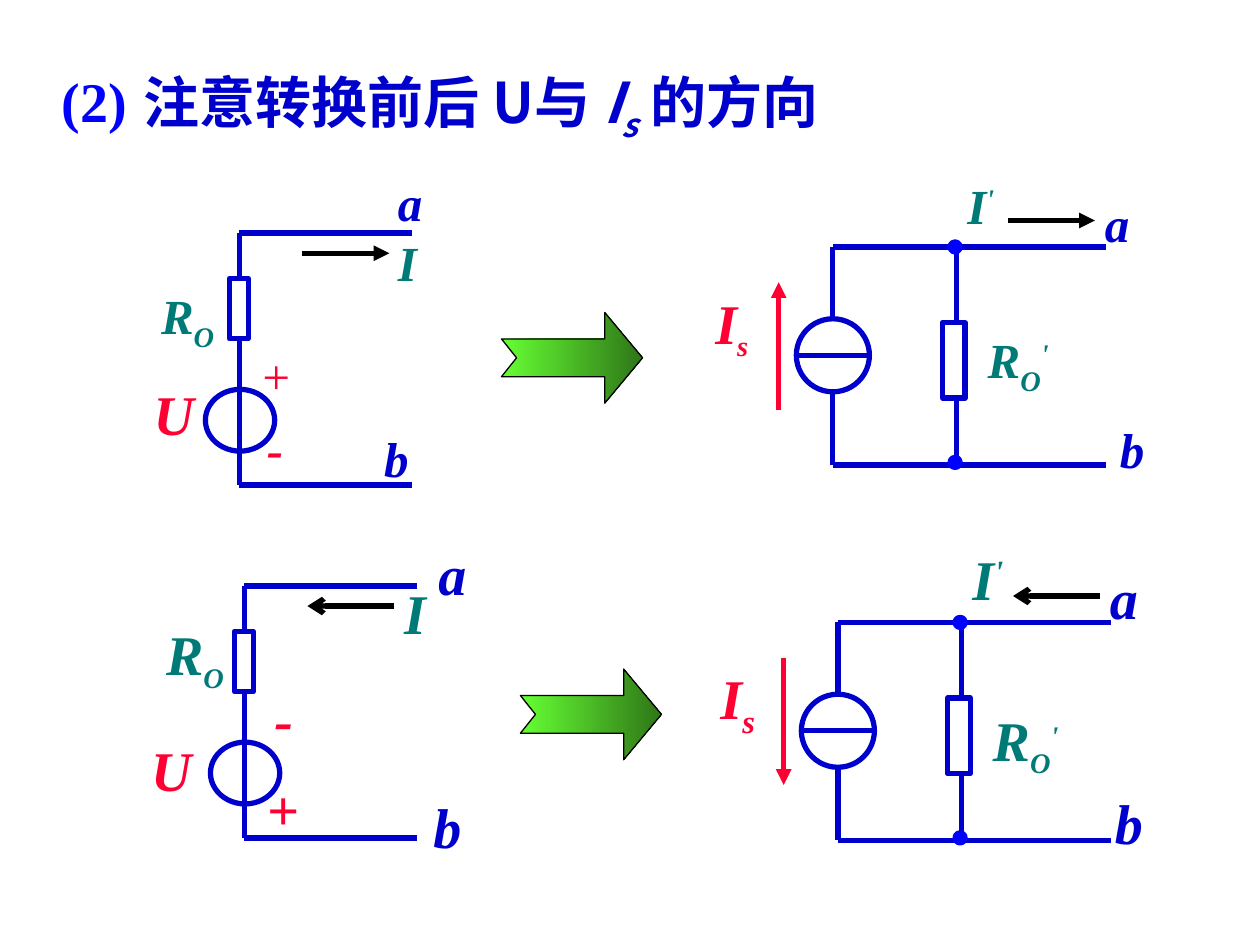
from dataclasses import dataclass

from lxml.etree import SubElement
from pptx import Presentation
from pptx.dml.color import RGBColor
from pptx.enum.shapes import MSO_CONNECTOR, MSO_SHAPE as SHAPE
from pptx.enum.text import MSO_AUTO_SIZE as AUTO_SIZE
from pptx.oxml.ns import qn
from pptx.util import Inches, Pt

SERIF, SANS = "Times New Roman", "Noto Sans CJK SC"
BLUE, DOT_BLUE, RED, TEAL = "0000CC", "0000FF", "FF0033", "007A77"
BLACK, WHITE = "000000", "FFFFFF"


@dataclass
class Run:
    text: str
    size: int
    base: int = 0  # baseline shift in percent
    italic: bool = True


@dataclass
class Label:
    x: float
    y: float
    w: float
    h: float
    runs: list[Run]
    color: str
    bold: bool = True
    font: str = SERIF
    wrap: bool = False


@dataclass
class Circuit:
    x: float  # top left corner of the wiring
    y: float
    reverse: bool
    labels: list[Label]


def rgb(color: str) -> RGBColor:
    return RGBColor.from_string(color)


def add_label(s, label: Label) -> None:
    box = s.shapes.add_textbox(*map(Inches, (label.x, label.y, label.w, label.h)))
    tf = box.text_frame
    tf.word_wrap = label.wrap
    tf.auto_size = AUTO_SIZE.SHAPE_TO_FIT_TEXT
    p = tf.paragraphs[0]
    p.font.name, p.font.bold = label.font, label.bold
    p.font.color.rgb = rgb(label.color)
    for run in label.runs:
        r = p.add_run()
        r.text = run.text
        r.font.size, r.font.italic = Pt(run.size), run.italic
        if run.base:
            r.font._element.set("baseline", str(run.base * 1000))
        SubElement(r.font._element, qn("a:ea")).set("typeface", label.font)


def add_line(s, x1: float, y1: float, x2: float, y2: float,
             color: str = BLUE, arrow: str = "") -> None:
    line = s.shapes.add_connector(
        MSO_CONNECTOR.STRAIGHT, *map(Inches, (x1, y1, x2, y2)))
    line.line.color.rgb = rgb(color)
    line.line.width = Pt(3)
    if arrow:
        SubElement(line.line._get_or_add_ln(), qn("a:tailEnd")).set("type", arrow)
    SubElement(line._element.spPr, qn("a:effectLst"))


def add_part(s, kind: SHAPE, x: float, y: float, w: float, h: float,
             fill: str = WHITE, line: str = BLUE) -> None:
    part = s.shapes.add_shape(kind, *map(Inches, (x, y, w, h)))
    part.shadow.inherit = False
    part.fill.solid()
    part.fill.fore_color.rgb = rgb(fill)
    part.line.color.rgb = rgb(line)
    part.line.width = Pt(3)


def add_current_arrow(s, x: float, y: float, reverse: bool) -> None:
    ends = (x + 0.69, x) if reverse else (x, x + 0.69)
    add_line(s, ends[0], y, ends[1], y, BLACK, "arrow" if reverse else "triangle")


def add_voltage_circuit(s, c: Circuit) -> None:
    x, y, bottom = c.x, c.y, c.y + 2
    add_part(s, SHAPE.OVAL, x - 0.27, y + 1.24, 0.55, 0.49)
    add_line(s, x, y, x, bottom)
    add_part(s, SHAPE.RECTANGLE, x - 0.08, y + 0.36, 0.15, 0.48)
    for level in (y, bottom):
        add_line(s, x, level, x + 1.37, level)
    add_current_arrow(s, x + 0.5, y + 0.16, c.reverse)
    for label in c.labels:
        add_label(s, label)


def add_current_circuit(s, c: Circuit) -> None:
    x, y, bottom = c.x, c.y, c.y + 1.73
    # Source with its leads and direction arrow
    add_part(s, SHAPE.OVAL, x - 0.29, y + 0.57, 0.58, 0.58)
    add_line(s, x - 0.29, y + 0.86, x + 0.29, y + 0.86)
    add_line(s, x, y + 0.57, x, y)
    add_line(s, x, bottom, x, y + 1.15)
    ends = (y + 0.28, y + 1.29) if c.reverse else (y + 1.29, y + 0.28)
    add_line(s, x - 0.43, ends[0], x - 0.43, ends[1], RED, "triangle")
    # Parallel resistor, terminals and nodes
    add_line(s, x + 0.98, y, x + 0.98, bottom)
    add_part(s, SHAPE.RECTANGLE, x + 0.87, y + 0.6, 0.18, 0.6)
    for level in (y, bottom):
        add_line(s, x, level, x + 2.17, level)
    add_current_arrow(s, x + 1.39, y - 0.21, c.reverse)
    for node in (y - 0.04, y + 1.67):
        add_part(s, SHAPE.OVAL, x + 0.93, node, 0.08, 0.08, DOT_BLUE, DOT_BLUE)
    for label in c.labels:
        add_label(s, label)


def add_block_arrow(s, x: float, y: float) -> None:
    points = [(0.82, 0.21), (0.82, 0), (1.12, 0.36), (0.82, 0.72),
              (0.82, 0.51), (0, 0.51), (0.12, 0.36)]
    builder = s.shapes.build_freeform(Inches(x), Inches(y + 0.21))
    builder.add_line_segments([(Inches(x + dx), Inches(y + dy)) for dx, dy in points])
    arrow = builder.convert_to_shape()
    arrow.shadow.inherit = False
    arrow.fill.gradient()
    arrow.fill.gradient_angle = 0
    for stop, color in zip(arrow.fill.gradient_stops, ("66FF33", "2F7618")):
        stop.color.rgb = rgb(color)
    arrow.line.color.rgb = rgb(BLACK)
    arrow.line.width = Pt(0.75)


TITLE = [
    Label(1.04, 0.49, 6.64, 0.71,
          [Run("注意转换前后 U与 ", 32, italic=False), Run("I", 32),
           Run("s", 32, -25), Run(" 的方向", 32, italic=False)],
          BLUE, font=SANS, wrap=True),
    Label(0.39, 0.48, 0.72, 0.64, [Run("(2)", 32, italic=False)], DOT_BLUE),
]

VOLTAGE_CIRCUITS = [
    Circuit(1.9, 1.85, False, [
        Label(3.06, 1.32, 0.39, 0.57, [Run("a", 28)], BLUE),
        Label(2.95, 3.35, 0.39, 0.57, [Run("b", 28)], BLUE),
        Label(1.12, 2.96, 0.52, 0.63, [Run("U", 32)], RED),
        Label(1.96, 2.69, 0.46, 0.57, [Run("+", 28)], RED, bold=False),
        Label(2.02, 3.27, 0.33, 0.57, [Run("-", 28)], RED),
        Label(3.06, 1.8, 0.35, 0.57, [Run("I", 28)], TEAL),
        Label(1.18, 2.22, 0.62, 0.63, [Run("R", 28), Run("O", 28, -25)], TEAL),
    ]),
    Circuit(1.94, 4.65, True, [
        Label(3.38, 4.23, 0.42, 0.64, [Run("a", 32)], BLUE),
        Label(3.34, 6.24, 0.42, 0.64, [Run("b", 32)], BLUE),
        Label(1.1, 5.79, 0.52, 0.63, [Run("U", 32)], RED),
        Label(2.02, 6.1, 0.46, 0.63, [Run("+", 32)], RED),
        Label(2.08, 5.38, 0.41, 0.63, [Run("-", 32)], RED, wrap=True),
        Label(3.11, 4.54, 0.37, 0.64, [Run("I", 32)], TEAL),
        Label(1.22, 4.87, 0.66, 0.69, [Run("R", 32), Run("O", 28, -25)], TEAL),
    ]),
]

CURRENT_CIRCUITS = [
    Circuit(6.61, 1.96, False, [
        Label(8.67, 1.49, 0.39, 0.57, [Run("a", 28)], BLUE),
        Label(8.79, 3.28, 0.39, 0.57, [Run("b", 28)], BLUE),
        Label(5.58, 2.24, 0.46, 0.69, [Run("I", 32), Run("s", 28, -25)], RED),
        Label(7.58, 1.34, 0.43, 0.57, [Run("I", 28), Run("'", 28, 30)], TEAL),
        Label(7.74, 2.57, 0.69, 0.63,
              [Run("R", 28), Run("O", 28, -25), Run("'", 28, 30)], TEAL),
    ]),
    Circuit(6.65, 4.94, True, [
        Label(8.71, 4.42, 0.42, 0.64, [Run("a", 32)], BLUE),
        Label(8.75, 6.21, 0.42, 0.64, [Run("b", 32)], BLUE),
        Label(5.62, 5.22, 0.47, 0.71, [Run("I", 32), Run("s", 32, -25)], RED),
        Label(7.62, 4.27, 0.46, 0.64, [Run("I", 32), Run("'", 32, 30)], TEAL),
        Label(7.78, 5.55, 0.72, 0.69,
              [Run("R", 32), Run("O", 28, -25), Run("'", 28, 30)], TEAL),
    ]),
]


def main() -> None:
    prs = Presentation()
    prs.slide_width, prs.slide_height = Inches(10), Inches(7.5)
    s = prs.slides.add_slide(prs.slide_layouts[6])
    for label in TITLE:
        add_label(s, label)
    for circuit in VOLTAGE_CIRCUITS:
        add_voltage_circuit(s, circuit)
    for x, y in ((4.13, 5.31), (3.98, 2.48)):
        add_block_arrow(s, x, y)
    for circuit in CURRENT_CIRCUITS:
        add_current_circuit(s, circuit)
    prs.save("out.pptx")


if __name__ == "__main__":
    main()
